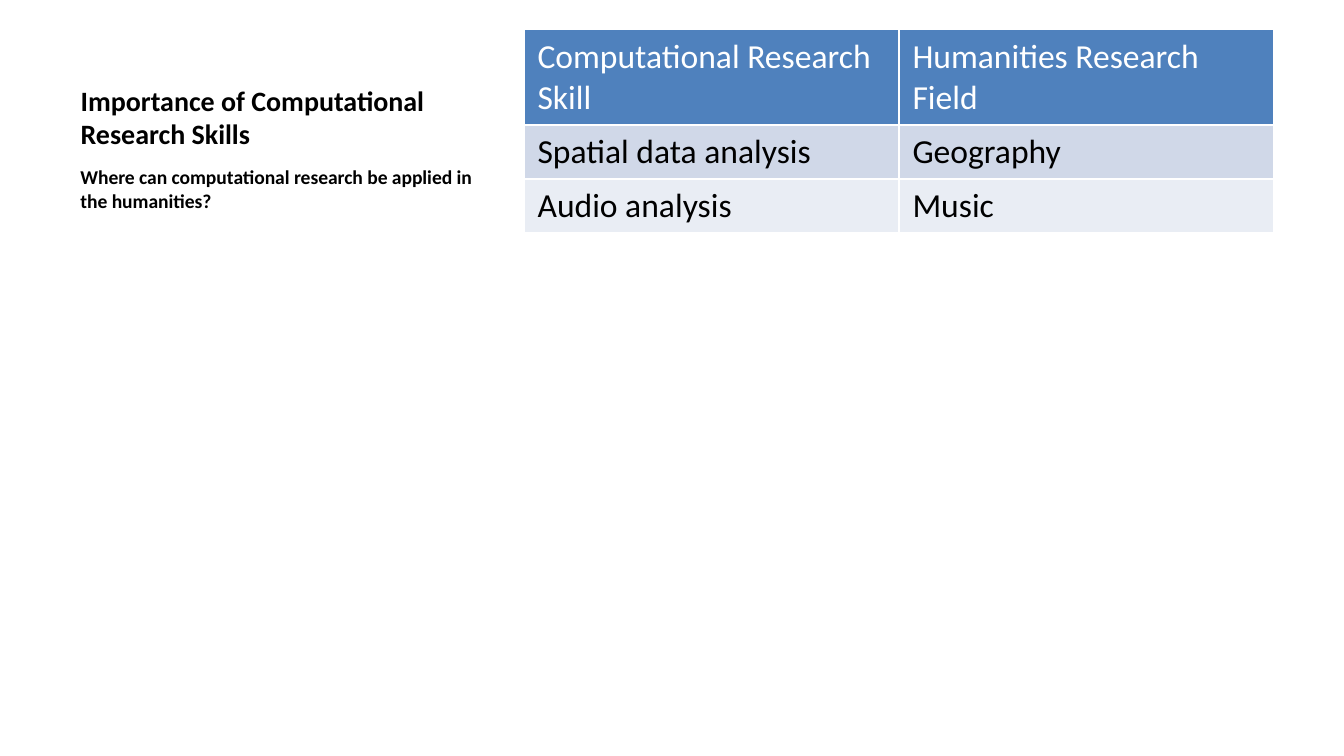
from typing import NamedTuple

from pptx import Presentation
from pptx.dml.color import RGBColor
from pptx.enum.text import MSO_ANCHOR, MSO_AUTO_SIZE, PP_ALIGN
from pptx.util import Inches, Pt


class Row(NamedTuple):
    cells: tuple[str, str]
    height: float
    fill: str
    color: str = "000000"


ROWS = [
    Row(("Computational Research Skill", "Humanities Research Field"), 0.71, "4F81BD", "FFFFFF"),
    Row(("Spatial data analysis", "Geography"), 0.4, "D0D8E8"),
    Row(("Audio analysis", "Music"), 0.4, "E9EDF4"),
]
LEFT, TOP, TEXT_WIDTH = 0.5, 0.22, 3.29
TABLE_LEFT, COLUMN_WIDTH = 3.9, 2.79


def rgb(value: str) -> RGBColor:
    return RGBColor.from_string(value)


def write(tf, text: str, *, size: float, color: str = "000000", bold: bool = False,
          anchor=MSO_ANCHOR.TOP, space_before: float = 0) -> None:
    tf.word_wrap = True
    tf.vertical_anchor = anchor
    p = tf.paragraphs[0]
    p.alignment = PP_ALIGN.LEFT
    p.space_before = Pt(space_before)
    r = p.add_run()
    r.text = text
    r.font.name = "Calibri"
    r.font.size = Pt(size)
    r.font.bold = bold
    r.font.color.rgb = rgb(color)


def add_table(s, rows: list[Row]) -> None:
    columns = len(rows[0].cells)
    table = s.shapes.add_table(
        len(rows), columns, Inches(TABLE_LEFT), Inches(TOP),
        Inches(COLUMN_WIDTH * columns), Inches(sum(row.height for row in rows)),
    ).table
    for i, row in enumerate(rows):
        table.rows[i].height = Inches(row.height)
        for j, text in enumerate(row.cells):
            cell = table.cell(i, j)
            cell.fill.solid()
            cell.fill.fore_color.rgb = rgb(row.fill)
            write(cell.text_frame, text, size=18, color=row.color)


def main() -> None:
    prs = Presentation()
    prs.slide_width = Inches(10)
    prs.slide_height = prs.slide_width * 9 // 16
    s = prs.slides.add_slide(prs.slide_layouts[5])

    title = s.shapes.title
    title.left, title.top = Inches(LEFT), Inches(TOP)
    title.width, title.height = Inches(TEXT_WIDTH), Inches(0.95)
    title.text_frame.auto_size = MSO_AUTO_SIZE.NONE
    write(title.text_frame, "Importance of Computational Research Skills",
          size=15, bold=True, anchor=MSO_ANCHOR.BOTTOM)

    body = s.shapes.add_textbox(Inches(LEFT), Inches(1.18), Inches(TEXT_WIDTH), Inches(3.85))
    write(body.text_frame, "Where can computational research be applied in the humanities?",
          size=10.5, bold=True, space_before=2.1)

    add_table(s, ROWS)
    prs.save("out.pptx")


if __name__ == "__main__":
    main()
